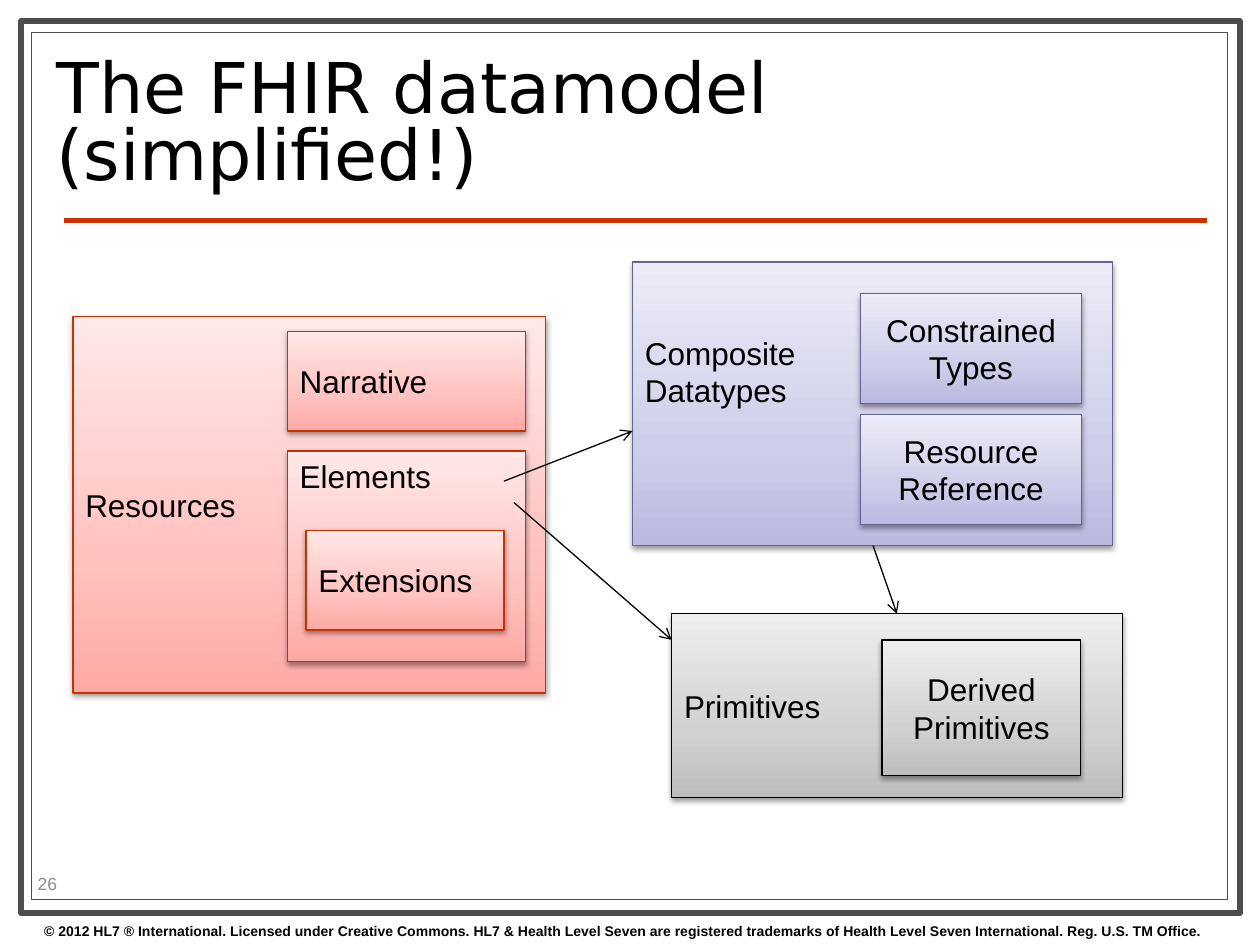
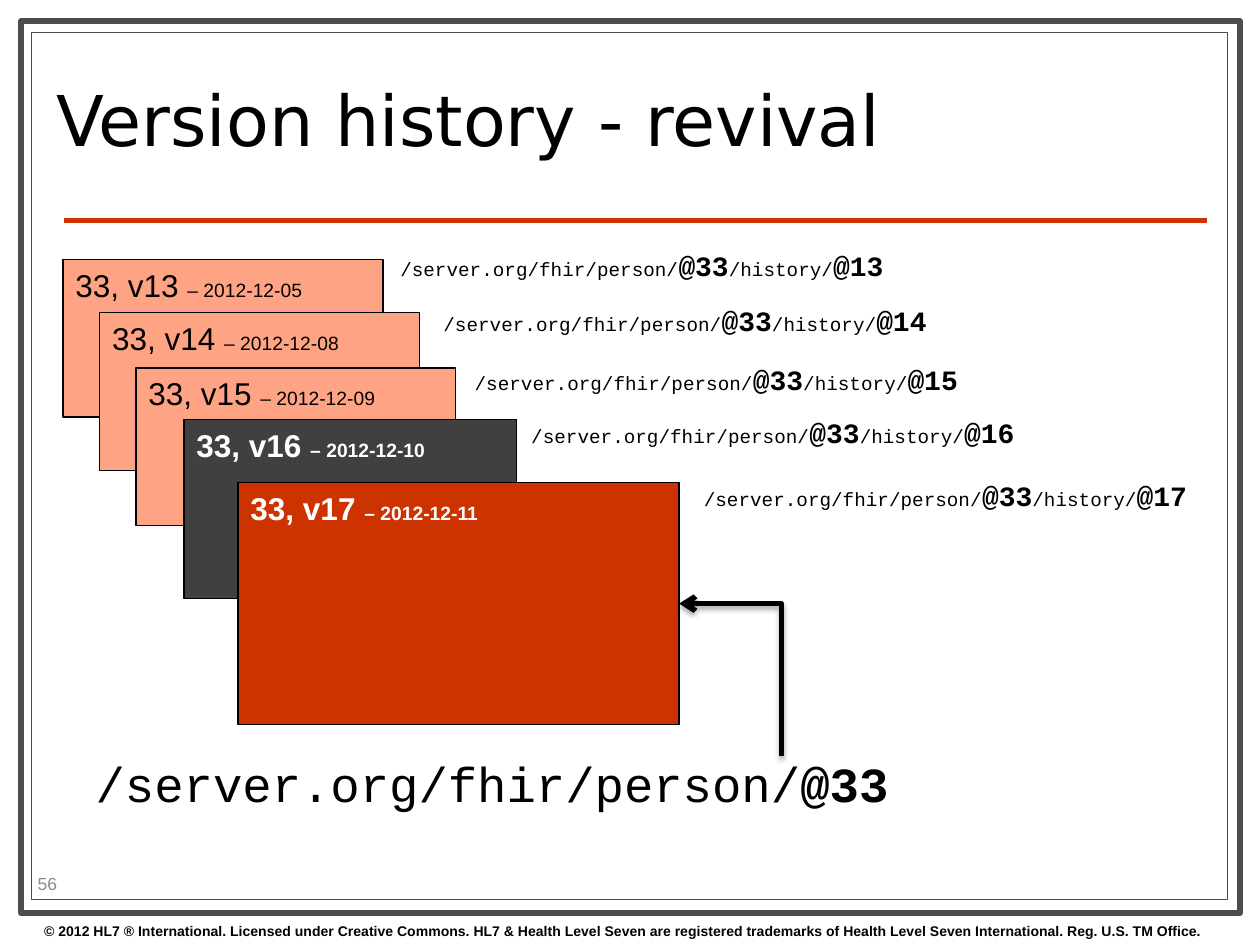
"""Builds two slides: the FHIR data model and a version history."""
from copy import deepcopy
from dataclasses import dataclass

from lxml import etree
from pptx import Presentation, util as u
from pptx.dml import color
from pptx.enum import shapes, text
from pptx.oxml import ns


@dataclass(frozen=True)
class Theme:
    """Colours, fonts and type sizes."""
    sans: str = "Arial"
    title_font: str = "DejaVu Sans"
    mono: str = "Courier New"
    black: str = "000000"
    white: str = "FFFFFF"
    frame: str = "4D4D4D"
    page_number: str = "8C8C8C"
    accent: str = "CC3300"
    old_version: str = "FFA385"
    deleted_version: str = "404040"
    red: tuple = ("C83200", "FFA9A5", "FFC2BF", "FFE8E7")
    grey: tuple = ("000000", "BDBDBD", "D1D1D1", "EEEEEE")
    purple: tuple = ("636397", "B9B9E2", "CECEEA", "ECECF7")
    title_size: float = 40
    address_size: float = 28
    label_size: float = 18
    key_size: float = 16
    detail_size: float = 11
    number_size: float = 10
    footer_size: float = 8
    thin: float = 0.75
    thick: float = 3
    border: float = 3.5


FOOTER = ("© 2012 HL7 ® International. Licensed under Creative Commons. "
          "HL7 & Health Level Seven are registered trademarks of "
          "Health Level Seven International. Reg. U.S. TM Office.")


def write(paragraph, content, *, size, font=Theme.sans, fill=Theme.black, bold=False):
    """Add a formatted run to a paragraph."""
    run = paragraph.add_run()
    run.text = content
    run.font.name = font
    run.font.size = u.Pt(size)
    run.font.bold = bold
    run.font.color.rgb = color.RGBColor.from_string(fill)


def add_shadow(effects, opacity, distance):
    """Put a soft downward shadow in an effect list."""
    shadow = etree.SubElement(effects, ns.qn("a:outerShdw"), blurRad="40000",
                              dist=str(distance), dir="5400000", rotWithShape="0")
    black = etree.SubElement(shadow, ns.qn("a:srgbClr"), val=Theme.black)
    etree.SubElement(black, ns.qn("a:alpha"), val=str(opacity * 1000))


class Deck:
    """Holds the theme, the presentation and the current slide."""

    def __init__(self, theme):
        """Start an empty presentation."""
        self.theme = theme
        self.presentation = Presentation()
        self.presentation.slide_width = u.Cm(25.4)
        self.presentation.slide_height = u.Cm(19.05)
        self.slide = None

    def add_slide(self, title, number):
        """Start a slide with frame, rule, footer, title and number."""
        theme = self.theme
        self.slide = self.presentation.slides.add_slide(self.presentation.slide_layouts[6])
        self.rectangle((0.43, 0.43, 24.56, 17.98), theme.white, theme.frame, theme.border)
        self.rectangle((0.64, 0.66, 24.1, 17.48), theme.white, theme.frame, theme.thin)
        self.line((1.3, 4.45), (24.33, 4.45), theme.accent, theme.thick)
        footer = self.text_box((0.64, 18.47, 24.7, 0.58))
        write(footer, FOOTER, size=theme.footer_size, bold=True)
        heading = self.text_box((0.89, 0.91, 18.21, 3.28), text.MSO_ANCHOR.MIDDLE)
        heading.line_spacing = 0.8
        write(heading, title, size=theme.title_size, font=theme.title_font)
        page = self.text_box((0.51, 17.5, 2.01, 0.61), text.MSO_ANCHOR.MIDDLE)
        write(page, str(number), size=theme.number_size, fill=theme.page_number)

    def text_box(self, box, anchor=text.MSO_ANCHOR.TOP):
        """Add a wrapping text box and return its first paragraph."""
        shape = self.slide.shapes.add_textbox(*map(u.Cm, box))
        shape.text_frame.word_wrap = True
        shape.text_frame.vertical_anchor = anchor
        return shape.text_frame.paragraphs[0]

    def rectangle(self, box, fill, outline, width):
        """Add a flat rectangle."""
        shape = self.slide.shapes.add_shape(shapes.MSO_SHAPE.RECTANGLE, *map(u.Cm, box))
        shape.fill.solid()
        shape.fill.fore_color.rgb = color.RGBColor.from_string(fill)
        shape.line.color.rgb = color.RGBColor.from_string(outline)
        shape.line.width = u.Pt(width)
        shape.shadow.inherit = False
        return shape

    def block(self, box, label, palette, align=text.PP_ALIGN.LEFT,
              anchor=text.MSO_ANCHOR.MIDDLE, bottom=0.13):
        """Add a labelled gradient rectangle with a shadow."""
        outline, *tones = palette
        shape = self.rectangle(box, tones[0], outline, self.theme.thin)
        shape.fill.gradient()
        shape.fill.gradient_angle = 90
        properties = shape._element.spPr
        stop_list = properties.find(".//" + ns.qn("a:gsLst"))
        stop_list.append(deepcopy(stop_list[0]))
        for stop, position, tone in zip(shape.fill.gradient_stops, (0, 0.35, 1), tones):
            stop.position = position
            stop.color.rgb = color.RGBColor.from_string(tone)
        add_shadow(properties.find(ns.qn("a:effectLst")), 38, 20000)
        frame = shape.text_frame
        frame.vertical_anchor = anchor
        frame.margin_bottom = u.Cm(bottom)
        for index, words in enumerate(label.split("\n")):
            paragraph = frame.add_paragraph() if index else frame.paragraphs[0]
            paragraph.alignment = align
            write(paragraph, words, size=self.theme.label_size)

    def line(self, start, end, fill, width, kind=shapes.MSO_CONNECTOR.STRAIGHT, arrow=False):
        """Add a connector without a shadow, with an optional arrowhead."""
        connector = self.slide.shapes.add_connector(kind, *map(u.Cm, start + end))
        connector.line.color.rgb = color.RGBColor.from_string(fill)
        connector.line.width = u.Pt(width)
        properties = connector._element.spPr
        if arrow:
            etree.SubElement(properties.find(ns.qn("a:ln")), ns.qn("a:tailEnd"), type="arrow")
        etree.SubElement(properties, ns.qn("a:effectLst"))
        return connector

    def elbow(self, start, end):
        """Add a thick arrow that goes up from start, then left to end."""
        width, height = start[1] - end[1], start[0] - end[0]
        left = (start[0] + end[0] - width) / 2
        top = (start[1] + end[1] - height) / 2
        connector = self.line((left, top), (left + width, top + height), self.theme.black,
                              self.theme.thick, shapes.MSO_CONNECTOR.ELBOW, arrow=True)
        properties = connector._element.spPr
        properties.find(ns.qn("a:prstGeom")).set("prst", "bentConnector2")
        transform = properties.find(ns.qn("a:xfrm"))
        transform.set("rot", "16200000")
        transform.set("flipV", "1")
        add_shadow(properties.find(ns.qn("a:effectLst")), 35, 23000)

    def version_card(self, box, version, date, fill):
        """Add a card naming a version and its date."""
        theme = self.theme
        current = fill != theme.old_version
        shape = self.rectangle(box, fill, theme.black, theme.thin)
        shape.text_frame.vertical_anchor = text.MSO_ANCHOR.TOP
        paragraph = shape.text_frame.paragraphs[0]
        paragraph.alignment = text.PP_ALIGN.LEFT
        style = {"fill": theme.white if current else theme.black, "bold": current}
        write(paragraph, f"33, v{version} ", size=theme.label_size, **style)
        write(paragraph, f"– {date}", size=theme.detail_size, **style)

    def history_address(self, left, top, version):
        """Add the address of one version."""
        theme = self.theme
        paragraph = self.text_box((left, top, 10.41, 0.94))
        for plain, key in (("/server.org/fhir/person/", "@33"), ("/history/", f"@{version}")):
            write(paragraph, plain, size=theme.detail_size, font=theme.mono)
            write(paragraph, key, size=theme.key_size, font=theme.mono, bold=True)


def add_data_model(deck):
    """Build the data model slide."""
    theme = deck.theme
    center = text.PP_ALIGN.CENTER
    deck.add_slide("The FHIR datamodel (simplified!)", 26)
    deck.block((1.47, 6.38, 9.53, 7.59), "Resources", theme.red)
    deck.block((5.79, 6.68, 4.8, 2.01), "Narrative", theme.red)
    deck.block((5.79, 9.09, 4.8, 4.24), "Elements", theme.red, anchor=text.MSO_ANCHOR.TOP)
    deck.block((6.17, 10.69, 3.99, 2.01), "Extensions", theme.red)
    deck.block((13.54, 12.37, 9.09, 3.71), "Primitives", theme.grey)
    deck.block((17.78, 12.9, 4.01, 2.74), "Derived Primitives", theme.grey, center)
    deck.block((12.75, 5.28, 9.68, 5.72), "Composite\nDatatypes", theme.purple, bottom=1.43)
    deck.block((17.35, 5.92, 4.45, 2.21), "Constrained Types", theme.purple, center)
    deck.block((17.35, 8.36, 4.45, 2.21), "Resource\nReference", theme.purple, center)
    for start, end in (((17.6, 11), (18.08, 12.37)),
                       ((10.16, 9.7), (12.75, 8.69)),
                       ((10.36, 10.13), (13.54, 12.9))):
        deck.line(start, end, theme.black, theme.thin, arrow=True)


def add_version_history(deck):
    """Build the version history slide."""
    theme = deck.theme
    deck.add_slide("Version history - revival", 56)
    old_size = (6.45, 3.18)
    versions = (
        (13, "2012-12-05", (1.27, 5.23), old_size, theme.old_version, (7.82, 4.88)),
        (14, "2012-12-08", (2.01, 6.3), old_size, theme.old_version, (8.69, 5.99)),
        (15, "2012-12-09", (2.74, 7.42), old_size, theme.old_version, (9.32, 7.19)),
        (16, "2012-12-10", (3.71, 8.46), (6.71, 3.61), theme.deleted_version, (10.46, 8.26)),
        (17, "2012-12-11", (4.8, 9.73), (8.89, 4.88), theme.accent, (13.94, 9.53)),
    )
    for version, date, corner, size, fill, address in versions:
        deck.version_card(corner + size, version, date, fill)
        deck.history_address(*address, version)
    paragraph = deck.text_box((1.68, 15.06, 17.48, 1.45))
    write(paragraph, "/server.org/fhir/person/", size=theme.address_size, font=theme.mono)
    write(paragraph, "@33", size=theme.address_size, font=theme.mono, bold=True)
    deck.elbow((15.75, 15.24), (13.69, 12.17))


def main():
    """Build and save the presentation."""
    deck = Deck(Theme())
    add_data_model(deck)
    add_version_history(deck)
    deck.presentation.save("out.pptx")


if __name__ == "__main__":
    main()
